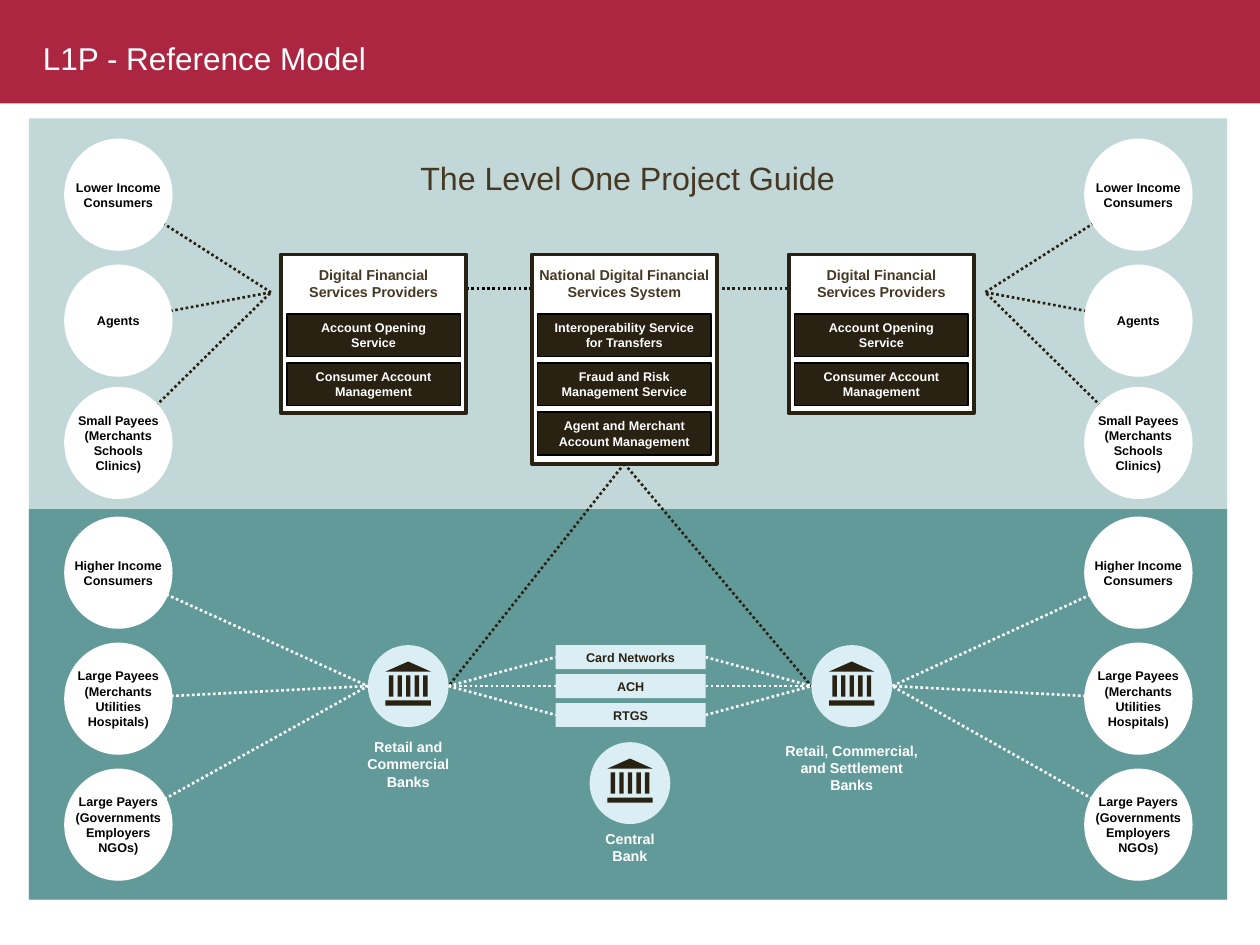
from dataclasses import dataclass

from lxml import etree
from pptx import Presentation
from pptx import util as u
from pptx.dml.color import RGBColor
from pptx.enum import dml, shapes, text
from pptx.oxml.ns import qn

COLUMNS, ROWS = 100, 75
CELL = u.Inches(10) // COLUMNS
FONT = "Arial"
COLOURS = {
    "crimson": "AC2641", "teal": "629999", "ice": "DBEEF4", "white": "FFFFFF",
    "bark": "292112", "brown": "473823", "black": "000000",
}
KIND = shapes.MSO_SHAPE
MIDDLE, TOP = text.MSO_ANCHOR.MIDDLE, text.MSO_ANCHOR.TOP
CENTRE, LEFT = text.PP_ALIGN.CENTER, text.PP_ALIGN.LEFT

UPPER_CIRCLES = [
    (0, "Lower Income\vConsumers"),
    (10, "Agents"),
    (19.7, "Small Payees\n(Merchants\nSchools\nClinics)"),
]
LOWER_CIRCLES = [
    (0, "Higher Income\vConsumers"),
    (10, "Large Payees\n(Merchants\nUtilities\vHospitals)"),
    (20, "Large Payers\n(Governments\vEmployers\nNGOs)"),
]
PROVIDER = "Digital Financial\vServices Providers"
PROVIDER_SERVICES = ["Account Opening\vService", "Consumer Account\vManagement"]
NATIONAL = "National Digital Financial\vServices System"
NATIONAL_SERVICES = [
    "Interoperability Service\vfor Transfers",
    "Fraud and Risk\nManagement Service",
    "Agent and Merchant\vAccount Management",
]
NETWORKS = ["Card Networks", "ACH", "RTGS"]


@dataclass
class Box:
    left: float
    top: float
    width: float
    height: float

    def inner(self, left, top, width, height):
        return Box(self.left + left, self.top + top, width, height)

    def at(self, across, down):
        return self.left + across * self.width, self.top + down * self.height

    def emu(self):
        return [round(n * CELL) for n in (self.left, self.top, self.width, self.height)]


def colour(name):
    return RGBColor.from_string(COLOURS[name])


def write(holder, words, size, ink, bold=True, align=CENTRE, anchor=MIDDLE, wrap=True):
    frame = holder.text_frame
    frame.text = words
    frame.word_wrap = wrap
    frame.vertical_anchor = anchor
    frame.margin_left = frame.margin_right = frame.margin_top = frame.margin_bottom = 0
    for paragraph in frame.paragraphs:
        paragraph.alignment = align
        for run in paragraph.runs:
            run.font.name = FONT
            run.font.size = u.Pt(size)
            run.font.bold = bold
            run.font.color.rgb = colour(ink)


def caption(slide, box, words, size, ink, **style):
    write(slide.shapes.add_textbox(*box.emu()), words, size, ink, **style)


def block(slide, kind, box, fill, edge=None, weight=1):
    shape = slide.shapes.add_shape(kind, *box.emu())
    shape.shadow.inherit = False
    shape.fill.solid()
    shape.fill.fore_color.rgb = colour(fill)
    if edge:
        shape.line.color.rgb = colour(edge)
        shape.line.width = u.Pt(weight)
    else:
        shape.line.fill.background()
    return shape


def dotted(slide, start, end, ink):
    ends = [round(n * CELL) for n in (*start, *end)]
    link = slide.shapes.add_connector(shapes.MSO_CONNECTOR.STRAIGHT, *ends)
    link.line.color.rgb = colour(ink)
    link.line.width = u.Pt(1.5)
    link.line.dash_style = dml.MSO_LINE.ROUND_DOT
    etree.SubElement(link._element.spPr, qn("a:effectLst"))


def header(slide, box):
    block(slide, KIND.RECTANGLE, box, "crimson")
    caption(slide, box.inner(3.4, 3.1, 70, 3), "L1P - Reference Model", 18, "white",
            bold=False, align=LEFT)


def zones(slide, box):
    guide = block(slide, KIND.RECTANGLE, box, "teal")
    tint = guide._element.spPr.find(qn("a:solidFill"))[0]
    etree.SubElement(tint, qn("a:alpha"), val="39000")
    half = box.height / 2
    block(slide, KIND.RECTANGLE, box.inner(0, half, box.width, half), "teal")
    caption(slide, box.inner(22.6, 3.2, 49.8, 3.6), "The Level One Project Guide", 18.4,
            "brown", bold=False, anchor=TOP)


def circle_column(slide, box, circles, hub, ink):
    for drop, words in circles:
        spot = box.inner(0, drop, 8.6, 8.9)
        dotted(slide, spot.at(0.5, 0.5), hub, ink)
        circle = block(slide, KIND.OVAL, spot, "white")
        write(circle, words, 7.2, "black", wrap=False)


def service_panel(slide, box, heading, services):
    block(slide, KIND.RECTANGLE, box, "white", "bark", 2.25)
    caption(slide, box.inner(0, 0.5, box.width, 3.5), heading, 8.2, "brown")
    for row, words in enumerate(services):
        service = block(slide, KIND.RECTANGLE, box.inner(0.45, 4.7 + 3.9 * row, 13.8, 3.4),
                        "bark", "black")
        write(service, words, 7.2, "white")


def bank(slide, box, words, label, anchor=TOP):
    block(slide, KIND.OVAL, box, "ice")
    block(slide, KIND.ISOSCELES_TRIANGLE, box.inner(1.4, 1.3, 3.6, 0.8), "bark")
    block(slide, KIND.RECTANGLE, box.inner(1.4, 4.4, 3.6, 0.4), "bark")
    for pillar in range(5):
        block(slide, KIND.RECTANGLE, box.inner(1.67 + 0.68 * pillar, 2.4, 0.35, 1.7), "bark")
    caption(slide, label, words, 8.2, "white", anchor=anchor)


def networks(slide, box, retail, settlement):
    step = (box.height - 1.9) / (len(NETWORKS) - 1)
    for row, words in enumerate(NETWORKS):
        bar = box.inner(0, step * row, box.width, 1.9)
        dotted(slide, retail.at(1, 0.5), bar.at(0, 0.5), "white")
        dotted(slide, bar.at(1, 0.5), settlement.at(0, 0.5), "white")
        write(block(slide, KIND.RECTANGLE, bar, "ice"), words, 7.2, "bark")


def reference_model(slide, box):
    zones(slide, box)
    national = box.inner(39.9, 10.8, 14.7, 16.6)
    providers = [box.inner(left, 10.8, 14.7, 12.6) for left in (20, 60.3)]
    retail = box.inner(26.9, 41.8, 6.4, 6.5)
    settlement = box.inner(62.1, 41.8, 6.4, 6.5)
    central = box.inner(44.5, 49.5, 6.4, 6.5)

    for end in (retail.at(1, 0.5), settlement.at(0, 0.5)):
        dotted(slide, national.at(0.5, 1), end, "bark")
    level = box.top + 13.5
    dotted(slide, (providers[0].at(1, 0)[0], level), (national.left, level), "black")
    dotted(slide, (national.at(1, 0)[0] + 0.4, level), (providers[1].left, level), "bark")

    service_panel(slide, national, NATIONAL, NATIONAL_SERVICES)
    for provider in providers:
        service_panel(slide, provider, PROVIDER, PROVIDER_SERVICES)

    bank(slide, retail, "Retail and\vCommercial Banks", retail.inner(-0.9, 7.4, 8.2, 1.1))
    bank(slide, settlement, "Retail, Commercial, and Settlement Banks",
         settlement.inner(-2.1, 7.7, 10.6, 2.6))
    bank(slide, central, "Central Bank", central.inner(0.5, 7.8, 5.4, 1.1), MIDDLE)
    networks(slide, box.inner(41.8, 41.8, 11.9, 6.5), retail, settlement)

    sides = [(2.8, 19.2, retail.at(0, 0.5)), (83.75, 75.9, settlement.at(1, 0.5))]
    for left, gate, bank_edge in sides:
        circle_column(slide, box.inner(left, 1.6, 8.6, 28.6), UPPER_CIRCLES,
                      (box.left + gate, box.top + 13.8), "bark")
        circle_column(slide, box.inner(left, 31.6, 8.6, 28.9), LOWER_CIRCLES,
                      bank_edge, "white")


def main():
    deck = Presentation()
    deck.slide_width, deck.slide_height = COLUMNS * CELL, ROWS * CELL
    slide = deck.slides.add_slide(deck.slide_layouts[6])
    header(slide, Box(0, 0, COLUMNS, 8.2))
    reference_model(slide, Box(2.3, 9.4, 95.1, 62))
    deck.save("out.pptx")


if __name__ == "__main__":
    main()
